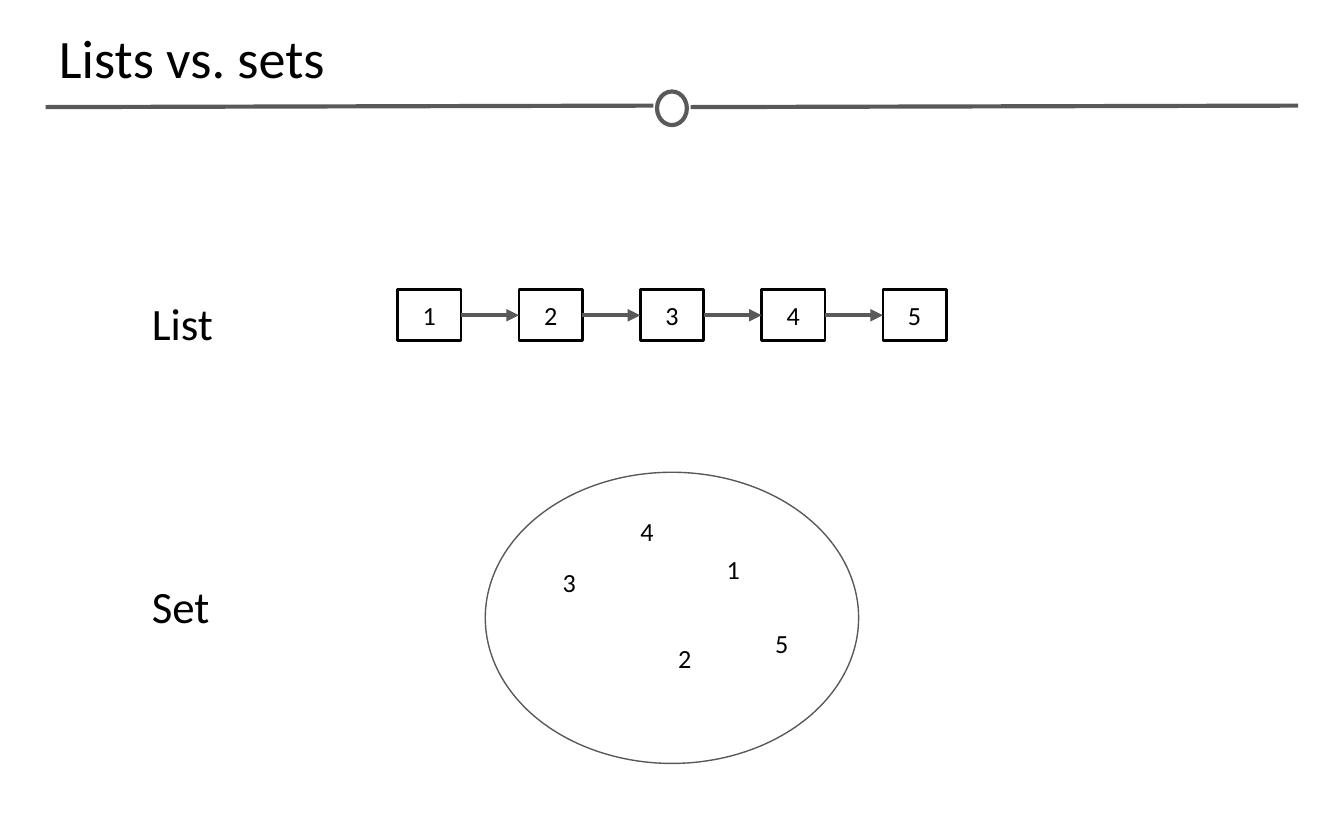
from lxml.etree import SubElement
from pptx import Presentation
from pptx.dml.color import RGBColor
from pptx.enum.shapes import MSO_CONNECTOR, MSO_SHAPE
from pptx.enum.text import MSO_ANCHOR as Anchor, PP_ALIGN as Align
from pptx.oxml.ns import qn
from pptx.util import Pt

BLACK = RGBColor(0x00, 0x00, 0x00)
GRAY = RGBColor(0x59, 0x59, 0x59)

deck = Presentation()
deck.slide_width, deck.slide_height = Pt(720), Pt(450)
shapes = deck.slides.add_slide(deck.slide_layouts[6]).shapes


def write(shape, text, size, centred=False):
    frame = shape.text_frame
    frame.text = text
    frame.word_wrap = True
    frame.margin_left = frame.margin_right = Pt(7.2)
    frame.margin_top = frame.margin_bottom = Pt(7.2)
    frame.vertical_anchor = Anchor.MIDDLE if centred else Anchor.TOP
    para = frame.paragraphs[0]
    para.alignment = Align.CENTER if centred else Align.LEFT
    font = para.runs[0].font
    font.name, font.size = "Calibri", Pt(size)
    font.color.rgb = BLACK


def draw_line(x1, y1, x2, y2, arrow=False):
    line = shapes.add_connector(
        MSO_CONNECTOR.STRAIGHT, Pt(x1), Pt(y1), Pt(x2), Pt(y2))
    line.line.color.rgb = GRAY
    line.line.width = Pt(2.25)
    props = line._element.spPr
    if arrow:
        SubElement(props.find(qn("a:ln")), qn("a:tailEnd"), type="triangle")
    SubElement(props, qn("a:effectLst"))


# Header rule and title
for left in (24.5, 370):
    draw_line(left, 57.4, left + 325.5, 56.6)

# Ring on the rule, and the set's outline
for left, top, width, height, weight in (
        (352, 49, 16, 18, 2.25), (260, 253, 200, 156, 0.75)):
    oval = shapes.add_shape(
        MSO_SHAPE.OVAL, Pt(left), Pt(top), Pt(width), Pt(height))
    oval.shadow.inherit = False
    oval.fill.background()
    oval.line.color.rgb = GRAY
    oval.line.width = Pt(weight)

for text, left, top, width, height, size in (
        ("Lists vs. sets", 24.5, 5.8, 671, 50, 29),
        ("List", 74.2, 151.2, 68.4, 36, 24),
        ("Set", 74.2, 302.8, 68.4, 36, 24)):
    label = shapes.add_textbox(Pt(left), Pt(top), Pt(width), Pt(height))
    write(label, text, size)

# Linked list: equal boxes joined by arrows
BOX_W, BOX_H, STEP = 34, 27.4, 65
START, TOP, COUNT = 213, 155, 5
for i in range(COUNT):
    left = START + i * STEP
    box = shapes.add_shape(
        MSO_SHAPE.RECTANGLE, Pt(left), Pt(TOP), Pt(BOX_W), Pt(BOX_H))
    box.shadow.inherit = False
    box.fill.background()
    box.line.color.rgb = BLACK
    box.line.width = Pt(1.5)
    write(box, str(i + 1), 14, centred=True)
    if i:
        draw_line(left - STEP + BOX_W, 168.9, left, 168.9, arrow=True)

# Set members, in no order
spots = ((375.8, 291), (349.9, 338.6), (288, 298.2), (329.6, 270.8), (401.8, 331))
for value, (left, top) in enumerate(spots, 1):
    item = shapes.add_textbox(Pt(left), Pt(top), Pt(BOX_W), Pt(BOX_H))
    write(item, str(value), 14, centred=True)

deck.save("out.pptx")
